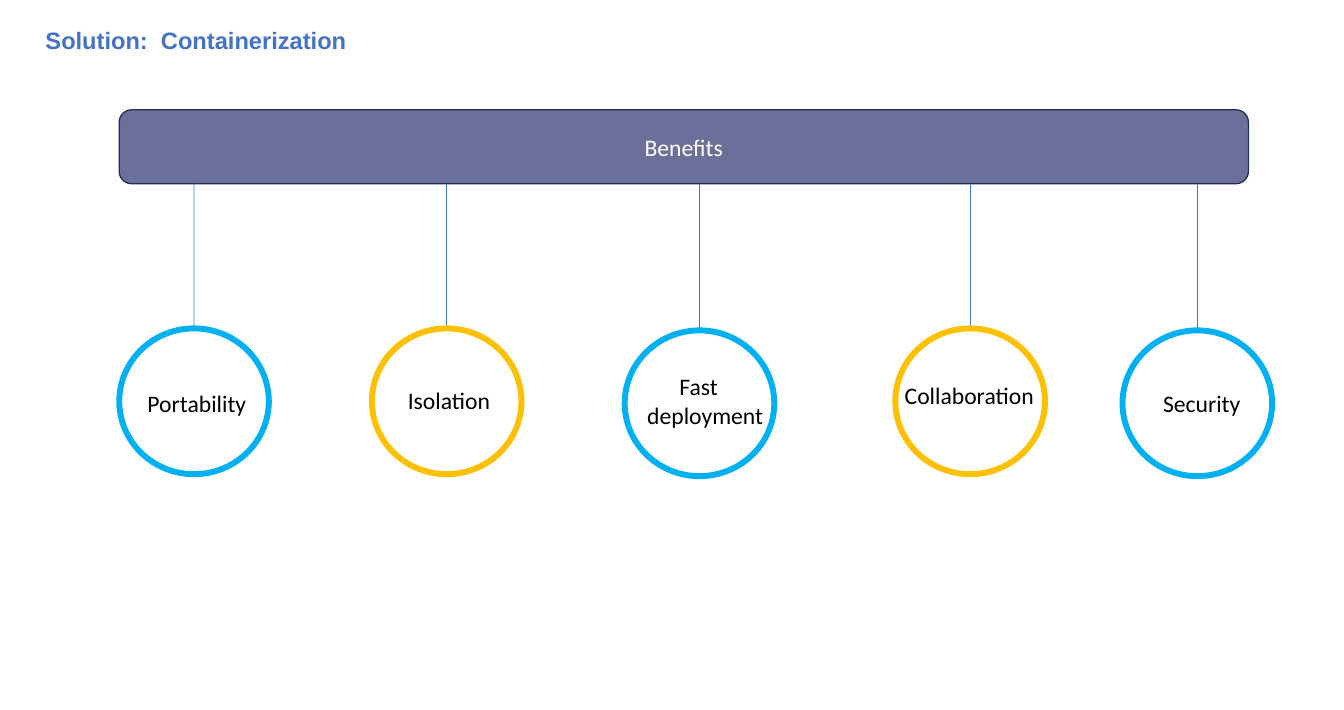
import pptx
import pptx.util
import pptx.dml.color
import pptx.enum.shapes
import pptx.enum.text
from dataclasses import dataclass

Pt = pptx.util.Pt
SHAPE = pptx.enum.shapes.MSO_SHAPE
ALIGN = pptx.enum.text.PP_ALIGN
MIDDLE = pptx.enum.text.MSO_ANCHOR.MIDDLE

TITLE = "Solution:  Containerization"
HEADING = "Benefits"
# label, ring centre x, ring top, label left, label top, label width, label height
BENEFITS = [
    ("Portability", 147.6, 249.8, 105.1, 292.3, 90, 28.8),
    ("Isolation", 339.8, 249.8, 303.1, 290.2, 77.8, 28.8),
    ("Fast\ndeployment", 532.1, 251.3, 485.3, 279.4, 103.7, 51.1),
    ("Collaboration", 738, 249.8, 681.1, 285.8, 113.8, 28.8),
    ("Security", 910.8, 251.3, 877.7, 292.3, 74.2, 28.8),
]
TITLE_AREA = (27.4, 13, 828, 37.4)
BAR_AREA = (90.7, 83.5, 859, 56.2)
RING_WIDTH, RING_HEIGHT = 113.8, 110.9
FIRST_LINE_INDENT = 24.5


@dataclass(frozen=True)
class Theme:
    accent: str = "4472C4"
    bar: str = "6D6F9B"
    bar_edge: str = "1E3256"
    rings: tuple = ("00B0F0", "FFC000")
    light: str = "FFFFFF"
    dark: str = "000000"
    title_font: str = "Arial"
    body_font: str = "Calibri"
    size: float = 18
    edge: float = 1
    stem: float = 0.5
    ring: float = 4.5


THEME = Theme()


def rgb(value):
    return pptx.dml.color.RGBColor.from_string(value)


def points(*values):
    return [Pt(value) for value in values]


def write(frame, text, color, font=THEME.body_font, bold=False, align=ALIGN.LEFT):
    frame.text = text
    for para in frame.paragraphs:
        para.alignment = align
        for span in para.runs:
            span.font.name = font
            span.font.size = Pt(THEME.size)
            span.font.bold = bold
            span.font.color.rgb = rgb(color)


def outline(item, color, width):
    item.line.color.rgb = rgb(color)
    item.line.width = Pt(width)


def add_title(page):
    title = page.shapes.title
    title.left, title.top, title.width, title.height = points(*TITLE_AREA)
    title.text_frame.vertical_anchor = MIDDLE
    write(title.text_frame, TITLE, THEME.accent, THEME.title_font, True)
    title.text_frame.paragraphs[0].line_spacing = 0.9


def add_bar(page):
    bar = page.shapes.add_shape(SHAPE.ROUNDED_RECTANGLE, *points(*BAR_AREA))
    bar.shadow.inherit = False
    bar.fill.solid()
    bar.fill.fore_color.rgb = rgb(THEME.bar)
    outline(bar, THEME.bar_edge, THEME.edge)
    bar.text_frame.vertical_anchor = MIDDLE
    write(bar.text_frame, HEADING, THEME.light, align=ALIGN.CENTER)


def add_ring(page, center, top, color):
    bar_bottom = BAR_AREA[1] + BAR_AREA[3]
    stem = page.shapes.add_connector(
        pptx.enum.shapes.MSO_CONNECTOR.STRAIGHT, *points(center, bar_bottom, center, top))
    outline(stem, THEME.accent, THEME.stem)
    properties = stem._element.spPr
    properties.append(properties.makeelement(pptx.oxml.ns.qn("a:effectLst"), {}))
    ring = page.shapes.add_shape(
        SHAPE.FLOWCHART_CONNECTOR, *points(center - RING_WIDTH / 2, top, RING_WIDTH, RING_HEIGHT))
    ring.shadow.inherit = False
    ring.fill.background()
    outline(ring, color, THEME.ring)
    stem.end_connect(ring, 0)


def add_label(page, text, area):
    frame = page.shapes.add_textbox(*points(*area)).text_frame
    frame.word_wrap = False
    frame.auto_size = pptx.enum.text.MSO_AUTO_SIZE.SHAPE_TO_FIT_TEXT
    write(frame, text, THEME.dark)
    if len(frame.paragraphs) > 1:
        properties = frame.paragraphs[0]._p.get_or_add_pPr()
        properties.set("marL", str(Pt(FIRST_LINE_INDENT)))


def main():
    """Build the containerization benefits slide."""
    deck = pptx.Presentation()
    deck.slide_width, deck.slide_height = points(1022.4, 540)
    page = deck.slides.add_slide(deck.slide_layouts[5])
    add_title(page)
    add_bar(page)
    for index, (label, center, top, *area) in enumerate(BENEFITS):
        add_ring(page, center, top, THEME.rings[index % len(THEME.rings)])
    for label, center, top, *area in BENEFITS:
        add_label(page, label, area)
    deck.save("out.pptx")


if __name__ == "__main__":
    main()
